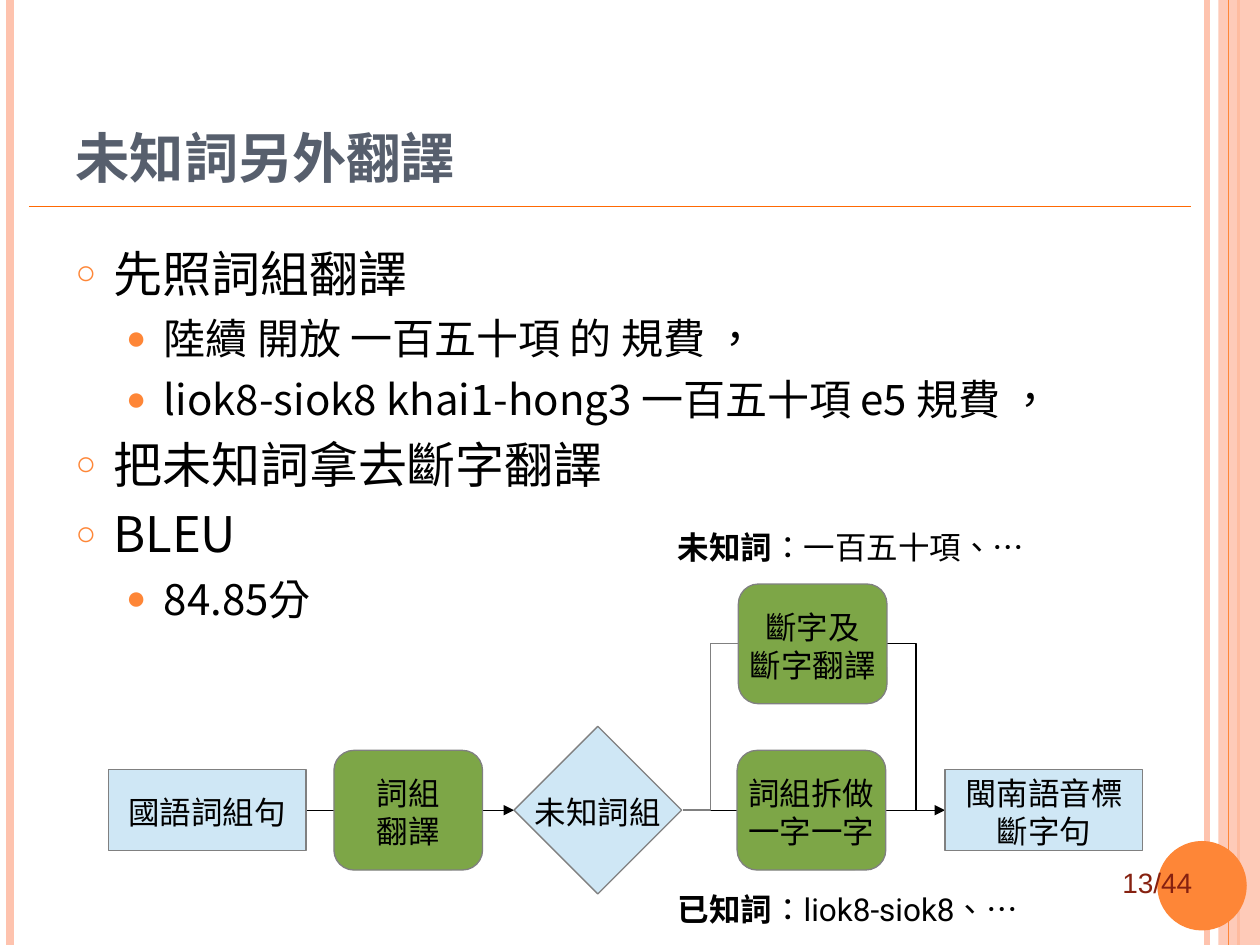
import pptx
import pptx.dml.color
import pptx.enum.shapes
import pptx.enum.text
import pptx.oxml
import pptx.oxml.ns
import pptx.util
from lxml import etree
from pptx.util import Inches

SHAPE = pptx.enum.shapes.MSO_SHAPE
CONNECTOR = pptx.enum.shapes.MSO_CONNECTOR
ANCHOR = pptx.enum.text.MSO_ANCHOR
ALIGN = pptx.enum.text.PP_ALIGN
qn = pptx.oxml.ns.qn

ORANGE, PINK, BLUE, GREEN, GREY = "FE8637", "FEC3AE", "CFE7F5", "7DA647", "808080"
CJK = "Noto Sans CJK SC"


def rgb(value):
    return pptx.dml.color.RGBColor.from_string(value)


def write(paragraph, text, size=18, font="Roboto", color="000000", bold=False, align=ALIGN.LEFT):
    """Add one formatted run to the paragraph."""
    paragraph.alignment = align
    run = paragraph.add_run()
    run.text = text
    run.font.size = pptx.util.Pt(size)
    run.font.name = font
    run.font.bold = bold
    run.font.color.rgb = rgb(color)
    run.font._element.set("lang", "zh-TW")
    etree.SubElement(run.font._element, qn("a:ea"), typeface=CJK)


prs = pptx.Presentation()
prs.slide_width, prs.slide_height = Inches(10), Inches(7.5)
slide = prs.slides.add_slide(prs.slide_layouts[1])
shapes = slide.shapes

# Title and list
title, body = slide.placeholders
for holder, box in ((title, (0.5, 0.3, 8.64, 1.25)), (body, (0.5, 1.88, 7.7, 5.2))):
    holder.left, holder.top, holder.width, holder.height = map(Inches, box)
    holder.text_frame.word_wrap = True
    holder.text_frame.auto_size = pptx.enum.text.MSO_AUTO_SIZE.NONE
title.text_frame.vertical_anchor = ANCHOR.BOTTOM
write(title.text_frame.paragraphs[0], "未知詞另外翻譯", size=31, font=CJK, color="575F6D", bold=True)

# Per level: text size, left margin, bullet, bullet size
levels = [(28, 0.3, "○", 70), (24, 0.7, "●", 80)]
points = [
    (0, "先照詞組翻譯"),
    (1, "陸續 開放 一百五十項 的 規費 ，"),
    (1, "liok8-siok8 khai1-hong3 一百五十項 e5 規費 ，"),
    (0, "把未知詞拿去斷字翻譯"),
    (0, "BLEU"),
    (1, "84.85分"),
]
for index, (level, text) in enumerate(points):
    size, margin, bullet, bullet_size = levels[level]
    point = body.text_frame.paragraphs[0] if index == 0 else body.text_frame.add_paragraph()
    point.level = level
    props = point._p.get_or_add_pPr()
    props.set("marL", str(Inches(margin)))
    props.set("indent", str(-Inches(0.3)))
    bullet_color = etree.SubElement(props, qn("a:buClr"))
    etree.SubElement(bullet_color, qn("a:srgbClr"), val=ORANGE)
    etree.SubElement(props, qn("a:buSzPct"), val=str(bullet_size * 1000))
    etree.SubElement(props, qn("a:buChar"), char=bullet)
    point.space_before = pptx.util.Pt(6 if index else 0)
    write(point, text, size=size, font=CJK)

# Page band
band = shapes.add_shape(SHAPE.RECTANGLE, Inches(9.67), 0, Inches(0.33), prs.slide_height)
band.shadow.inherit = False
band.fill.solid()
band.fill.fore_color.rgb = rgb(PINK)
band.line.fill.background()
band_color = band.fill._xPr.find(qn("a:solidFill"))[0]
etree.SubElement(band_color, qn("a:alpha"), val="87000")

# Page rules, then the links of the flow
flow_y, branch_y = 6.43, 5.11
lines = [
    (CONNECTOR.STRAIGHT, 9.58, 0, 9.58, 7.5, PINK, 3, False),
    (CONNECTOR.STRAIGHT, 0.08, 0, 0.08, 7.5, PINK, 4.5, False),
    (CONNECTOR.STRAIGHT, 9.83, 0, 9.83, 7.5, "FEBB9F", 1.5, False),
    (CONNECTOR.STRAIGHT, 9.75, 0, 9.75, 7.5, ORANGE, 0.75, False),
    (CONNECTOR.STRAIGHT, 0.23, 1.64, 9.45, 1.64, "FF6903", 1, False),
    (CONNECTOR.STRAIGHT, 2.43, flow_y, 4.08, flow_y, "000000", 0.75, True),
    (CONNECTOR.STRAIGHT, 5.42, flow_y, 7.5, flow_y, "000000", 0.75, False),
    (CONNECTOR.ELBOW, 7.04, branch_y, 7.5, flow_y, "000000", 0.75, True),
    (CONNECTOR.ELBOW, 5.42, flow_y, 5.86, branch_y, GREY, 0.75, False),
]
for kind, x1, y1, x2, y2, color, width, arrow in lines:
    link = shapes.add_connector(kind, Inches(x1), Inches(y1), Inches(x2), Inches(y2))
    link.line.color.rgb = rgb(color)
    link.line.width = pptx.util.Pt(width)
    if arrow:
        etree.SubElement(link.line._get_or_add_ln(), qn("a:tailEnd"), type="triangle")
    etree.SubElement(link._element.spPr, qn("a:effectLst"))

# Page number disc and steps of the flow, placed by left edge and vertical centre
looks = {
    SHAPE.OVAL: (0.7, 0.7, ORANGE, ORANGE),
    SHAPE.RECTANGLE: (1.57, 0.64, BLUE, GREY),
    SHAPE.ROUNDED_RECTANGLE: (1.18, 0.95, GREEN, GREY),
    SHAPE.DIAMOND: (1.33, 1.33, BLUE, GREY),
}
steps = [
    (SHAPE.OVAL, 9.19, 7.03, []),
    (SHAPE.RECTANGLE, 0.86, flow_y, ["國語詞組句"]),
    (SHAPE.RECTANGLE, 7.5, flow_y, ["閩南語音標", "斷字句"]),
    (SHAPE.ROUNDED_RECTANGLE, 2.65, flow_y, ["詞組", "翻譯"]),
    (SHAPE.ROUNDED_RECTANGLE, 5.86, branch_y, ["斷字及", "斷字翻譯"]),
    (SHAPE.DIAMOND, 4.08, flow_y, ["未知詞組"]),
    (SHAPE.ROUNDED_RECTANGLE, 5.85, flow_y, ["詞組拆做", "一字一字"]),
]
for kind, left, middle, rows in steps:
    width, height, fill, outline = looks[kind]
    step = shapes.add_shape(kind, Inches(left), Inches(middle - height / 2), Inches(width), Inches(height))
    step.shadow.inherit = False
    step.fill.solid()
    step.fill.fore_color.rgb = rgb(fill)
    step.line.color.rgb = rgb(outline)
    step.line.width = pptx.util.Pt(0.75)
    frame = step.text_frame
    frame.word_wrap = False
    frame.vertical_anchor = ANCHOR.MIDDLE
    frame.margin_top = Inches(0.08)
    for index, row in enumerate(rows):
        paragraph = frame.paragraphs[0] if index == 0 else frame.add_paragraph()
        write(paragraph, row, align=ALIGN.CENTER)

# Branch captions and page number
captions = [
    (5.28, 4.11, 3.2, 0.39, 0.08, [("未知詞", {"bold": True}), ("：一百五十項、…", {})]),
    (5.28, 6.98, 3.2, 0.39, 0.08, [("已知詞", {"bold": True}), ("：liok8-siok8、…", {})]),
    (8.81, 6.82, 1.52, 0.37, 0.05, [("13/44", {"size": 16, "font": "Arial", "color": "862110"})]),
]
for left, top, width, height, margin_top, runs in captions:
    caption = shapes.add_textbox(Inches(left), Inches(top), Inches(width), Inches(height))
    caption.text_frame.word_wrap = False
    caption.text_frame.margin_top = Inches(margin_top)
    for text, style in runs:
        write(caption.text_frame.paragraphs[0], text, **style)

prs.save("out.pptx")
